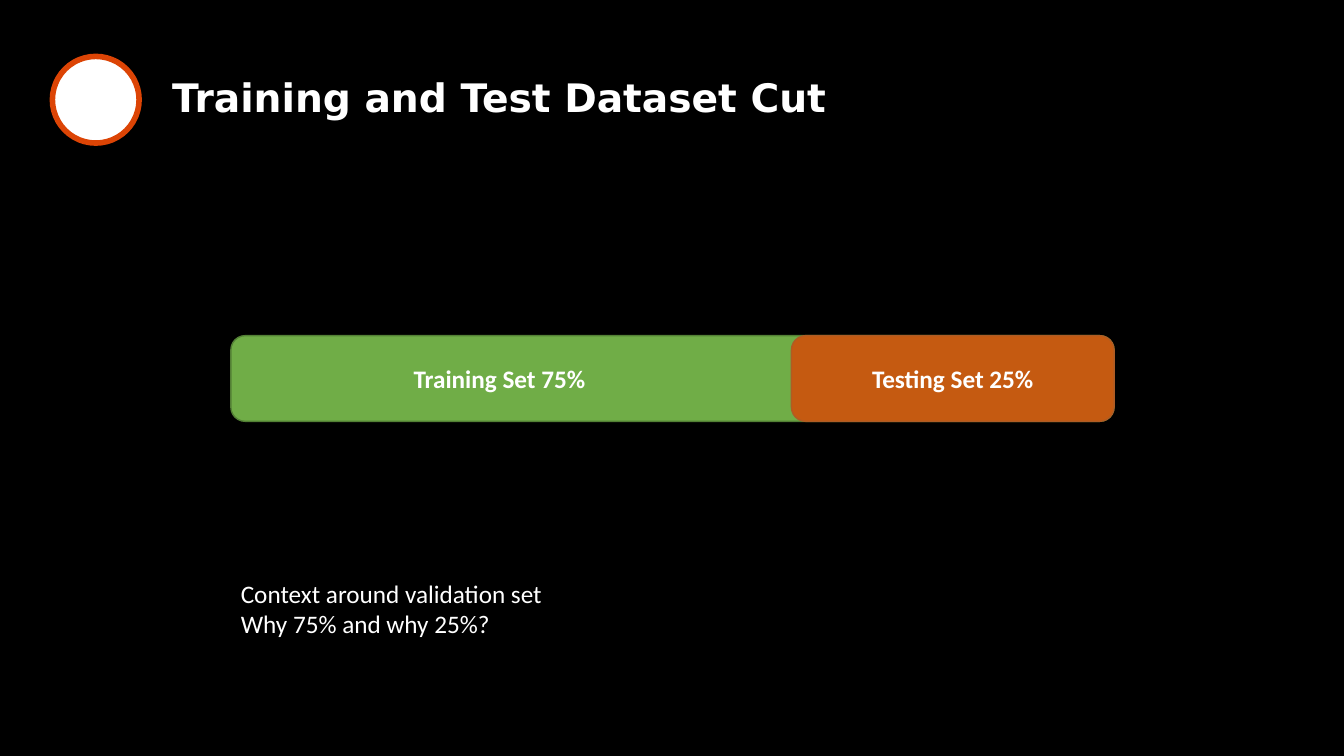
from pptx import Presentation
from pptx.dml.color import RGBColor
from pptx.enum.shapes import MSO_SHAPE
from pptx.enum.text import MSO_ANCHOR, PP_ALIGN
from pptx.util import Inches, Pt

COLOURS = {
    "background": "000000",
    "text": "FFFFFF",
    "badge": "FFFFFF",
    "badge_line": "DC4405",
    "training": "70AD47",
    "training_line": "538035",
    "testing": "C55A11",
    "testing_line": "AF5C24",
}


def colour(name):
    return RGBColor.from_string(COLOURS[name])


def write(shape, lines, size, font, bold, align=PP_ALIGN.LEFT):
    """Fill a shape with one white paragraph per line and return its text frame."""
    frame = shape.text_frame
    frame.word_wrap = True
    frame.text = "\n".join(lines)
    for para in frame.paragraphs:
        para.alignment = align
        para.font.size = Pt(size)
        para.font.name = font
        para.font.bold = bold
        para.font.color.rgb = colour("text")
    return frame


deck = Presentation()
deck.slide_width, deck.slide_height = Inches(13.33), Inches(7.5)
slide = deck.slides.add_slide(deck.slide_layouts[6])
slide.background.fill.solid()
slide.background.fill.fore_color.rgb = colour("background")

# Badge and the two overlapping bars
shapes = {}
for name, kind, left, top, width, height, line_width in (
    ("badge", MSO_SHAPE.OVAL, 0.52, 0.56, 0.86, 0.86, 4),
    ("training", MSO_SHAPE.ROUNDED_RECTANGLE, 2.29, 3.33, 8.76, 0.85, 1),
    ("testing", MSO_SHAPE.ROUNDED_RECTANGLE, 7.85, 3.33, 3.2, 0.85, 1),
):
    shape = slide.shapes.add_shape(
        kind, Inches(left), Inches(top), Inches(width), Inches(height)
    )
    shape.shadow.inherit = False
    shape.fill.solid()
    shape.fill.fore_color.rgb = colour(name)
    shape.line.color.rgb = colour(f"{name}_line")
    shape.line.width = Pt(line_width)
    shapes[name] = shape

# The training label sits in the part of its bar left uncovered
training_frame = write(shapes["training"], ["Training Set 75%"], 18, "Calibri", True)
training_frame.margin_left = Inches(1.77)
write(shapes["testing"], ["Testing Set 25%"], 18, "Calibri", True, PP_ALIGN.CENTER)

# Title
title = slide.shapes.add_textbox(Inches(1.61), Inches(0.72), Inches(10.8), Inches(0.54))
title_frame = write(title, ["Training and Test Dataset Cut"], 28, "DejaVu Sans", True)
title_frame.vertical_anchor = MSO_ANCHOR.MIDDLE
title_frame.paragraphs[0].line_spacing = 0.9

# Discussion notes
context = slide.shapes.add_textbox(Inches(2.29), Inches(5.69), Inches(3.78), Inches(0.71))
write(
    context,
    ["Context around validation set", "Why 75% and why 25%?"],
    18, "Calibri", False,
)

deck.save("out.pptx")
